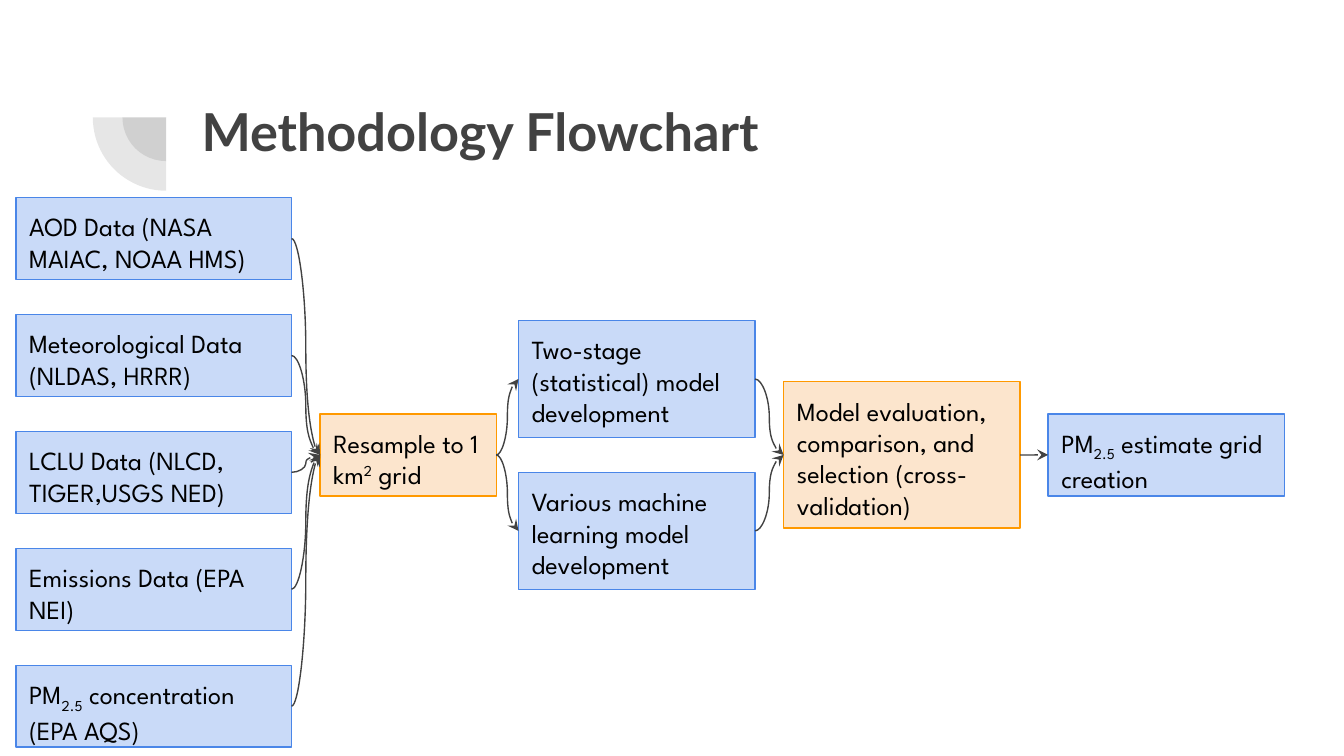
from lxml.etree import SubElement
from pptx import Presentation
from pptx.dml.color import RGBColor
from pptx.enum.shapes import MSO_CONNECTOR, MSO_SHAPE
from pptx.enum.text import MSO_ANCHOR, PP_ALIGN
from pptx.oxml.ns import qn
from pptx.util import Cm, Pt

HUES = {
    "ink": "424242", "text": "000000",
    "blue": "C9DAF8", "blue_edge": "4A86E8",
    "peach": "FCE5CD", "peach_edge": "FF9900",
}
INPUTS = [
    ["AOD Data (NASA MAIAC, NOAA HMS)"],
    ["Meteorological Data (NLDAS, HRRR)"],
    ["LCLU Data (NLCD, TIGER,USGS NED)"],
    ["Emissions Data (EPA NEI)"],
    ["PM", ("2.5", -25), " concentration (EPA AQS)"],
]
MODELS = [
    ["Two-stage (statistical) model development"],
    ["Various machine learning model development"],
]
AXIS = 8.6  # height of the middle of the flow
LOW, MID, TALL = 1.55, 2.21, 2.77  # box heights
WIDE = 4.47


def hue(name):
    return RGBColor.from_string(HUES[name])


def write(frame, runs, size, face, tint, bold=False):
    """Fill a frame with runs; a (text, base) pair is raised or lowered."""
    frame.word_wrap = True
    frame.vertical_anchor = MSO_ANCHOR.TOP
    frame.margin_left = frame.margin_right = Cm(0.25)
    frame.margin_top = frame.margin_bottom = Cm(0.25)
    para = frame.paragraphs[0]
    para.alignment = PP_ALIGN.LEFT
    for item in runs:
        text, base = (item, 0) if isinstance(item, str) else item
        run = para.add_run()
        run.text = text
        run.font.size = Pt(size)
        run.font.name = face
        run.font.bold = bold
        run.font.color.rgb = hue(tint)
        if base:
            run.font._element.set("baseline", str(base * 1000))


def add_pie(slide, size):
    """Pale quarter disc around the shared centre."""
    left, top = 3.14 - size / 2, 2.22 - size / 2
    pie = slide.shapes.add_shape(
        MSO_SHAPE.PIE, Cm(left), Cm(top), Cm(size), Cm(size))
    pie.adjustments[0], pie.adjustments[1] = 108, 162
    pie.rotation = 270
    pie.shadow.inherit = False
    pie.fill.solid()
    pie.fill.fore_color.rgb = hue("ink")
    tone = pie.fill._xPr.find(qn("a:solidFill"))[0]
    SubElement(tone, qn("a:alpha"), val="13000")
    pie.line.fill.background()


def add_box(slide, left, mid, width, height, runs, tint="blue"):
    """Step of the flow, placed by its left edge and middle height."""
    box = slide.shapes.add_shape(
        MSO_SHAPE.RECTANGLE, Cm(left), Cm(mid - height / 2),
        Cm(width), Cm(height))
    box.shadow.inherit = False
    box.fill.solid()
    box.fill.fore_color.rgb = hue(tint)
    box.line.color.rgb = hue(tint + "_edge")
    box.line.width = Pt(0.75)
    write(box.text_frame, runs, 14, "League Spartan", "text")
    return box


def add_link(slide, start, end):
    """Curved arrow from the right side of start to the left side of end."""
    link = slide.shapes.add_connector(MSO_CONNECTOR.CURVE, 0, 0, 0, 0)
    link.begin_connect(start, 3)
    link.end_connect(end, 1)
    link.line.color.rgb = hue("ink")
    link.line.width = Pt(0.75)
    SubElement(link.line._get_or_add_ln(), qn("a:tailEnd"), type="stealth")
    SubElement(link._element.spPr, qn("a:effectLst"))


def main():
    deck = Presentation()
    deck.slide_width, deck.slide_height = Cm(25.4), Cm(14.29)
    slide = deck.slides.add_slide(deck.slide_layouts[6])

    # Heading
    for size in (1.65, 2.77):
        add_pie(slide, size)
    title = slide.shapes.add_textbox(
        Cm(3.56), Cm(1.63), Cm(19.53), Cm(1.88))
    write(title.text_frame, ["Methodology Flowchart"], 28, "Lato", "ink", True)

    # Steps, column by column
    inputs = [add_box(slide, 0.3, 4.51 + 2.21 * i, 5.21, LOW, runs)
              for i, runs in enumerate(INPUTS)]
    grid = add_box(slide, 6.05, AXIS, 3.33, LOW,
                   ["Resample to 1 km", ("2", 30), " grid"], "peach")
    models = [add_box(slide, 9.8, AXIS + 2.87 * (i - 0.5), WIDE, MID, runs)
              for i, runs in enumerate(MODELS)]
    choice = add_box(
        slide, 14.81, AXIS, WIDE, TALL,
        ["Model evaluation, comparison, and selection (cross-validation)"],
        "peach")
    result = add_box(slide, 19.81, AXIS, WIDE, LOW,
                     ["PM", ("2.5", -25), " estimate grid creation"])

    # Arrows
    for box in inputs:
        add_link(slide, box, grid)
    for box in models:
        add_link(slide, grid, box)
        add_link(slide, box, choice)
    add_link(slide, choice, result)

    deck.save("out.pptx")


if __name__ == "__main__":
    main()
